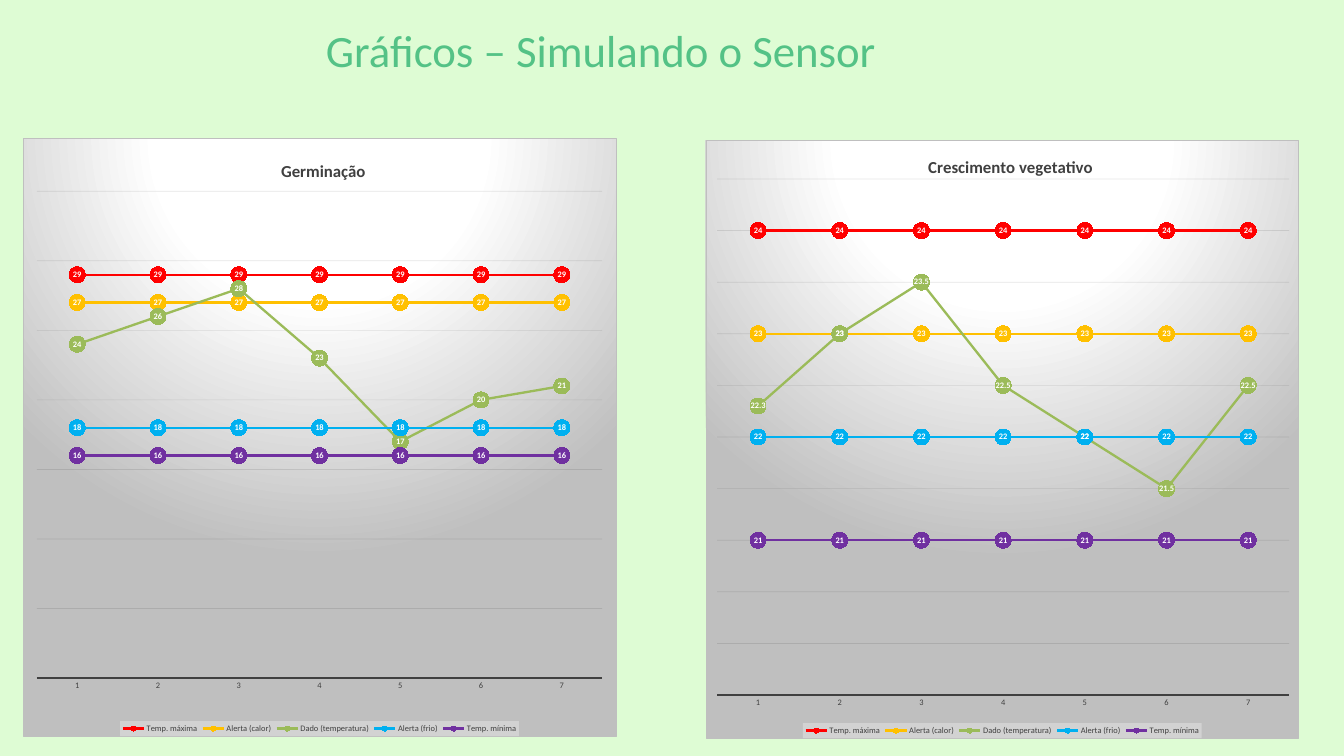
import dataclasses

import pptx
import pptx.chart.data
import pptx.dml.color
import pptx.enum.chart
import pptx.enum.text
import pptx.oxml
import pptx.oxml.ns
import pptx.util

Inches, Pt = pptx.util.Inches, pptx.util.Pt
NS = pptx.oxml.ns.nsdecls("c", "a")


@dataclasses.dataclass(frozen=True)
class Theme:
    font: str = "Calibri"
    background: str = "DEFCD4"
    heading: str = "54C286"
    text: str = "404040"
    label: str = "FFFFFF"
    grid: str = "0D0D0D"
    border: str = "BFBFBF"
    legend: str = "F2F2F2"
    gradient: tuple = ((0, "FFFFFF"), (39, "FFFFFF"), (100, "BFBFBF"))
    heading_size: int = 48
    chart_title_size: int = 18
    chart_size: int = 10
    small_size: int = 9
    marker_size: int = 17


def rgb(value):
    return pptx.dml.color.RGBColor.from_string(value)


def solid_fill(color, alpha):
    return (f'<a:solidFill><a:srgbClr val="{color}"><a:alpha val="{alpha * 1000}"/>'
            "</a:srgbClr></a:solidFill>")


def set_layout(parent, index, **values):
    """Place a chart part by fractions of the chart area."""
    for old in parent.findall(pptx.oxml.ns.qn("c:layout")):
        parent.remove(old)
    target = '<c:layoutTarget val="inner"/>' if "w" in values else ""
    modes = "".join(f'<c:{k}Mode val="edge"/>' for k in "xy")
    sizes = "".join(f'<c:{k} val="{v}"/>' for k, v in values.items())
    parent.insert(index, pptx.oxml.parse_xml(
        f"<c:layout {NS}><c:manualLayout>{target}{modes}{sizes}</c:manualLayout></c:layout>"))


def add_properties(parent, content):
    """Insert shape properties just before the text properties of a chart part."""
    parent.find(pptx.oxml.ns.qn("c:txPr")).addprevious(
        pptx.oxml.parse_xml(f"<c:spPr {NS}>{content}</c:spPr>"))


class SlideBuilder:
    def __init__(self, prs, theme):
        self.theme = theme
        self.slide = prs.slides.add_slide(prs.slide_layouts[5])
        fill = self.slide.background.fill
        fill.solid()
        fill.fore_color.rgb = rgb(theme.background)

    def style(self, font, size, color, bold=False):
        font.name, font.size, font.bold = self.theme.font, Pt(size), bold
        font.color.rgb = rgb(color)

    def title(self, text, left, top, width, height):
        sp = self.slide.shapes.title
        sp.left, sp.top, sp.width, sp.height = map(Inches, (left, top, width, height))
        tf = sp.text_frame
        tf.text = text
        tf.word_wrap = True
        tf.auto_size = pptx.enum.text.MSO_AUTO_SIZE.NONE
        tf.vertical_anchor = pptx.enum.text.MSO_ANCHOR.TOP
        p = tf.paragraphs[0]
        p.alignment = pptx.enum.text.PP_ALIGN.LEFT
        self.style(p.font, self.theme.heading_size, self.theme.heading)

    def line_chart(self, title, left, top, series, scale, plot_box, title_at):
        """scale is (minimum, maximum, step); plot_box and title_at are fractions."""
        data = pptx.chart.data.CategoryChartData()
        data.categories = [str(day) for day in range(1, 8)]
        for name, _, values in series:
            data.add_series(name, values)
        chart = self.slide.shapes.add_chart(
            pptx.enum.chart.XL_CHART_TYPE.LINE_MARKERS, Inches(left), Inches(top),
            Inches(8.83), Inches(8.91), data).chart
        self.style(chart.font, self.theme.chart_size, "000000")
        self.chart_title(chart, title, title_at)
        self.chart_area(chart)
        self.axes(chart, scale)
        self.legend(chart)
        set_layout(chart.element.xpath(".//c:plotArea")[0], 0, **dict(zip("xywh", plot_box)))
        chart.plots[0].vary_by_categories = False
        for item, (_, color, _) in zip(chart.plots[0].series, series):
            self.series(item, color)

    def chart_title(self, chart, text, at):
        tf = chart.chart_title.text_frame
        tf.text = text
        self.style(tf.paragraphs[0].font, self.theme.chart_title_size, self.theme.text, True)
        chart.chart_title.include_in_layout = False
        set_layout(chart.element.xpath("./c:chart/c:title")[0], 1, x=at[0], y=at[1])

    def chart_area(self, chart):
        stops = "".join(f'<a:gs pos="{pos * 1000}"><a:srgbClr val="{color}"/></a:gs>'
                        for pos, color in self.theme.gradient)
        add_properties(chart.element, (
            f'<a:gradFill><a:gsLst>{stops}</a:gsLst><a:path path="circle">'
            '<a:fillToRect l="50000" t="-80000" r="50000" b="180000"/></a:path></a:gradFill>'
            f'<a:ln w="{Pt(0.75)}"><a:solidFill><a:srgbClr val="{self.theme.border}"/>'
            "</a:solidFill></a:ln>"))

    def axes(self, chart, scale):
        none = pptx.enum.chart.XL_TICK_MARK.NONE
        days, values = chart.category_axis, chart.value_axis
        days.major_tick_mark = days.minor_tick_mark = none
        self.style(days.tick_labels.font, self.theme.small_size, self.theme.text)
        days.format.line.color.rgb = rgb(self.theme.text)
        days.format.line.width = Pt(1.5)
        values.minimum_scale, values.maximum_scale, values.major_unit = scale
        values.visible = False
        values.has_major_gridlines = True
        line = values.major_gridlines.format.line
        line.width = Pt(0.75)
        line.color.rgb = rgb(self.theme.grid)
        color = chart.element.xpath(".//c:majorGridlines//a:srgbClr")[0]
        color.append(pptx.oxml.parse_xml(f'<a:alpha {NS} val="10000"/>'))

    def legend(self, chart):
        chart.has_legend = True
        chart.legend.position = pptx.enum.chart.XL_LEGEND_POSITION.BOTTOM
        chart.legend.include_in_layout = False
        self.style(chart.legend.font, self.theme.small_size, self.theme.text)
        add_properties(chart.element.xpath(".//c:legend")[0],
                       solid_fill(self.theme.legend, 39))

    def series(self, item, color):
        item.smooth = False
        item.format.line.color.rgb = rgb(color)
        item.format.line.width = Pt(2.5)
        marker = item.marker
        marker.style = pptx.enum.chart.XL_MARKER_STYLE.CIRCLE
        marker.size = self.theme.marker_size
        marker.format.fill.solid()
        marker.format.fill.fore_color.rgb = rgb(color)
        marker.format.line.fill.background()
        labels = item.data_labels
        labels.show_value = True
        labels.position = pptx.enum.chart.XL_LABEL_POSITION.CENTER
        self.style(labels.font, self.theme.small_size, self.theme.label, True)


def temperatures(maximum, heat, readings, cold, minimum):
    """Series in drawing order; each limit is constant over the days."""
    days = len(readings)
    return [
        ("Temp. máxima", "FF0000", [maximum] * days),
        ("Alerta (calor)", "FFC000", [heat] * days),
        ("Dado (temperatura)", "9BBB59", readings),
        ("Alerta (frio)", "00B0F0", [cold] * days),
        ("Temp. mínima", "7030A0", [minimum] * days),
    ]


def main():
    prs = pptx.Presentation()
    prs.slide_width, prs.slide_height = Inches(20), Inches(11.25)
    s = SlideBuilder(prs, Theme())
    s.title("Gráficos – Simulando o Sensor", 4.75, 0.29, 10.5, 0.91)
    s.line_chart("Germinação", 0.34, 2.05,
                 temperatures(29, 27, [24, 26, 28, 23, 17, 20, 21], 18, 16),
                 scale=(0, 35, 5), plot_box=(0.023, 0.089, 0.954, 0.814),
                 title_at=(0.43, 0.03))
    s.line_chart("Crescimento vegetativo", 10.5, 2.08,
                 temperatures(24, 23, [22.3, 23, 23.5, 22.5, 22, 21.5, 22.5], 22, 21),
                 scale=(19.5, 24.5, 0.5), plot_box=(0.019, 0.065, 0.965, 0.863),
                 title_at=(0.37, 0.02))
    prs.save("out.pptx")


if __name__ == "__main__":
    main()
